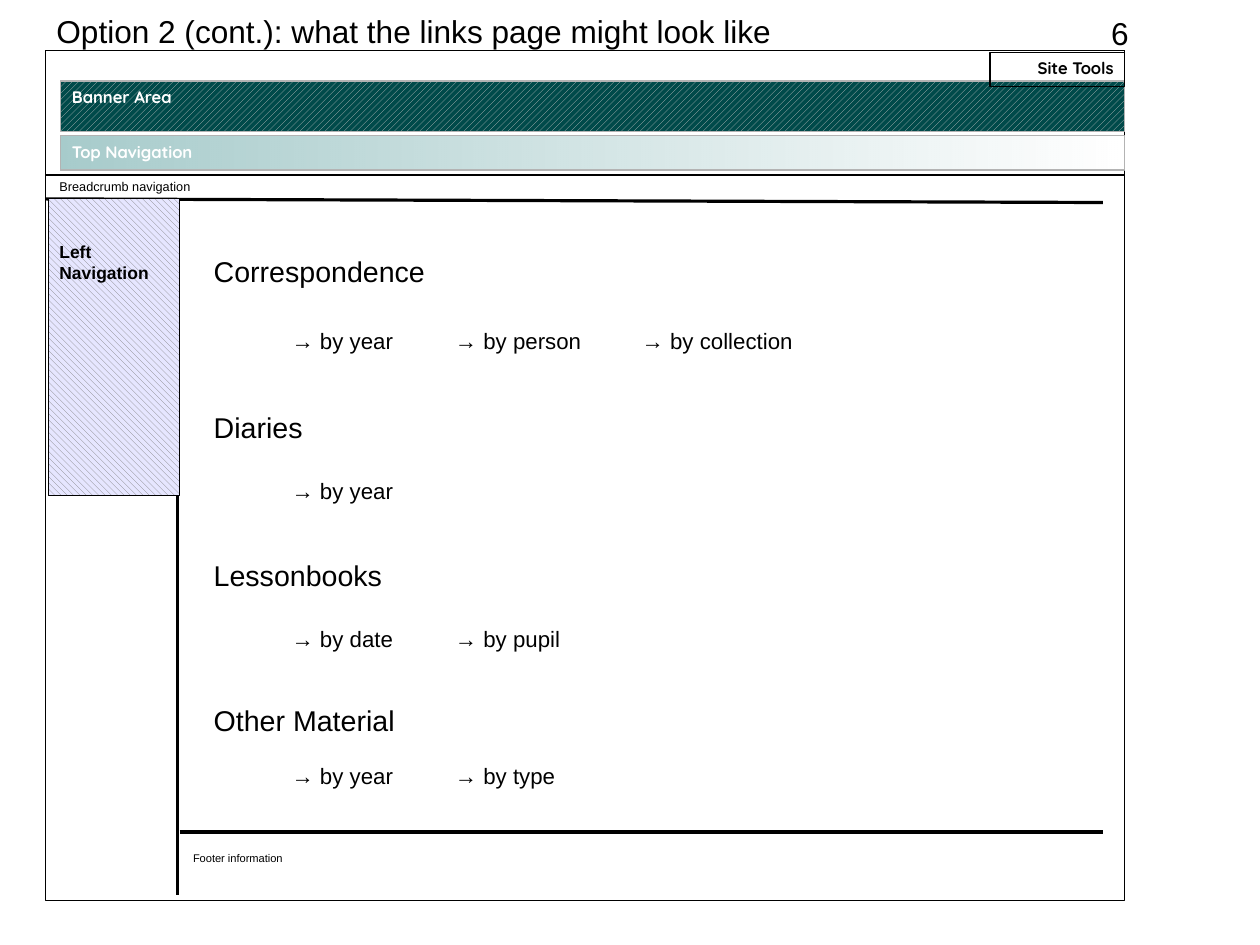
from collections import namedtuple

from lxml.etree import SubElement
from pptx import Presentation
from pptx.dml.color import RGBColor
from pptx.enum.dml import MSO_PATTERN as Pattern
from pptx.enum.shapes import MSO_CONNECTOR as Connector, MSO_SHAPE as Shape
from pptx.enum.text import MSO_ANCHOR as Anchor, PP_ALIGN as Align
from pptx.oxml.ns import qn
from pptx.util import Cm, Pt

BLACK = RGBColor(0x00, 0x00, 0x00)
WHITE = RGBColor(0xFF, 0xFF, 0xFF)
EDGE_GREY = RGBColor(0xB3, 0xB3, 0xB3)
BANNER_STRIPE = RGBColor(0xC0, 0xC0, 0xC0)
BANNER_GREEN = RGBColor(0x00, 0x4A, 0x4A)
NAV_GREEN = RGBColor(0x00, 0x6B, 0x6B)
NAV_STRIPE = RGBColor(0x80, 0x80, 0x80)
NAV_LILAC = RGBColor(0xE6, 0xE6, 0xFF)

LINK_TABS = (1.73, 5.36, 9.51)
SECTIONS = [
    (4.39, "Correspondence", ("by year", "by person", "by collection"), 25),
    (7.87, "Diaries", ("by year",), 21),
    (11.15, "Lessonbooks", ("by date", "by pupil"), 21),
    (14.37, "Other Material", ("by year", "by type"), 16),
]

Box = namedtuple("Box", "left top width height")


def inner(box, left, top, width, height):
    return Box(box.left + Cm(left), box.top + Cm(top), Cm(width), Cm(height))


def style(paragraph, size, color=BLACK, font="Arial", bold=False, align=Align.LEFT):
    paragraph.alignment = align
    paragraph.font.name = font
    paragraph.font.size = Pt(size)
    paragraph.font.bold = bold
    paragraph.font.color.rgb = color


def add_panel(slide, box, edge=BLACK):
    panel = slide.shapes.add_shape(Shape.RECTANGLE, *box)
    panel.shadow.inherit = False
    panel.fill.background()
    panel.line.color.rgb = edge
    panel.line.width = Pt(0)
    return panel


def label(panel, text, size, **look):
    frame = panel.text_frame
    frame.word_wrap = True
    frame.vertical_anchor = Anchor.TOP
    frame.text = text
    style(frame.paragraphs[0], size, **look)


def hatch(panel, pattern, stripe, ground):
    panel.fill.patterned()
    panel.fill.pattern = pattern
    panel.fill.fore_color.rgb = stripe
    panel.fill.back_color.rgb = ground


def add_text(slide, box, text, size, wrap=True):
    frame = slide.shapes.add_textbox(*box).text_frame
    frame.word_wrap = wrap
    frame.text = text
    style(frame.paragraphs[0], size)
    return frame


def add_rule(slide, box, x1, y1, x2, y2):
    rule = slide.shapes.add_connector(
        Connector.STRAIGHT, box.left + Cm(x1), box.top + Cm(y1),
        box.left + Cm(x2), box.top + Cm(y2))
    rule.line.color.rgb = BLACK
    rule.line.width = Pt(0)
    SubElement(rule._element.spPr, qn("a:effectLst"))


def add_heading(slide, box):
    title = slide.shapes.title
    title.left, title.top, title.width, title.height = box
    label(title, "Option 2 (cont.): what the links page might look like", 19.9)
    add_text(slide, inner(box, 23.44, 0.05, 3.71, 1.32), "6", 19.9, wrap=False)


def add_header(slide, box):
    add_panel(slide, box)
    banner = add_panel(slide, inner(box, 0.33, 0.68, 23.65, 1.12), EDGE_GREY)
    hatch(banner, Pattern.WIDE_UPWARD_DIAGONAL, BANNER_STRIPE, BANNER_GREEN)
    label(banner, "Banner Area", 10.5, color=WHITE, font="Quicksand", bold=True)

    top_navigation = add_panel(slide, inner(box, 0.33, 1.9, 23.65, 0.76), EDGE_GREY)
    top_navigation.fill.gradient()
    top_navigation.fill.gradient_angle = 0
    for stop, opacity in zip(top_navigation.fill.gradient_stops, (35, 0)):
        stop.color.rgb = NAV_GREEN
        SubElement(stop._gs[0], qn("a:alpha"), val=str(opacity * 1000))
    label(top_navigation, "Top Navigation", 10.5, color=WHITE, font="Quicksand", bold=True)

    site_tools = add_panel(slide, inner(box, 20.98, 0.05, 3, 0.76))
    label(site_tools, "Site Tools", 10.5, font="Quicksand", bold=True, align=Align.RIGHT)


def add_navigation(slide, box):
    add_text(slide, inner(box, 0.05, 2.74, 3.45, 0.66), "Breadcrumb navigation", 8, wrap=False)
    add_rule(slide, box, 0, 3.3, 23.49, 3.38)
    add_rule(slide, box, 2.92, 3.3, 2.92, 18.77)
    left_navigation = add_panel(slide, inner(box, 0.05, 3.3, 2.92, 6.6))
    hatch(left_navigation, Pattern.WIDE_DOWNWARD_DIAGONAL, NAV_STRIPE, NAV_LILAC)
    left_navigation.text_frame.margin_top = Cm(0.94)
    label(left_navigation, "Left Navigation", 11, bold=True)


def add_section(slide, box, heading, links, gap):
    frame = add_text(slide, box, heading, 18)
    choices = frame.add_paragraph()
    choices.text = "".join(f"\t→ {link}" for link in links)
    choices.space_before = Pt(gap)
    tabs = SubElement(choices._p.get_or_add_pPr(), qn("a:tabLst"))
    for position in LINK_TABS[:len(links)]:
        SubElement(tabs, qn("a:tab"), pos=str(Cm(position)), algn="l")
    style(choices, 14)


def add_footer(slide, box):
    add_rule(slide, box, 2.97, 17.37, 23.49, 17.37)
    add_text(slide, inner(box, 3.02, 17.68, 8.08, 0.84), "Footer information", 7)


def add_links_page(slide, box):
    add_panel(slide, box)
    add_header(slide, inner(box, 0, 0, 23.98, 2.77))
    add_navigation(slide, box)
    for top, heading, links, gap in SECTIONS:
        add_section(slide, inner(box, 3.48, top, 19, 2.24), heading, links, gap)
    add_footer(slide, box)


def main():
    deck = Presentation()
    deck.slide_width, deck.slide_height = Cm(28), Cm(21)
    slide = deck.slides.add_slide(deck.slide_layouts[5])
    add_links_page(slide, Box(Cm(1.02), Cm(1.12), Cm(23.98), Cm(18.9)))
    add_heading(slide, Box(Cm(1), Cm(0.13), Cm(24.5), Cm(1.37)))
    deck.save("out.pptx")


if __name__ == "__main__":
    main()
